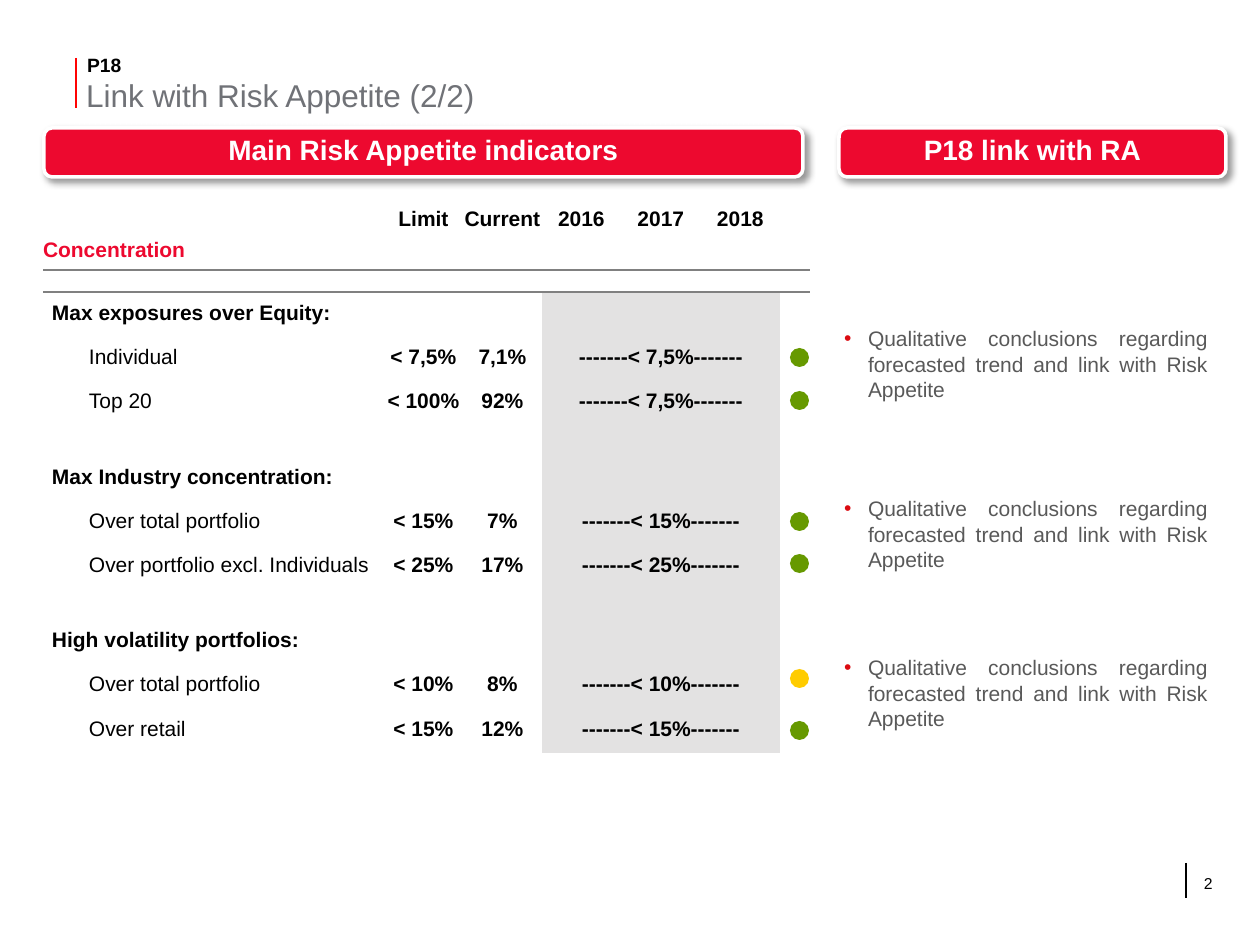
from dataclasses import dataclass

from lxml.etree import SubElement
from pptx import Presentation
from pptx.dml.color import RGBColor
from pptx.enum.shapes import MSO_CONNECTOR as Connector, MSO_SHAPE as Preset
from pptx.enum.text import MSO_ANCHOR as Anchor, PP_ALIGN as Align
from pptx.oxml import parse_xml
from pptx.oxml.ns import nsdecls, qn
from pptx.util import Emu, Pt

PX_PER_INCH = 126


@dataclass(frozen=True)
class Theme:
    font: str = "Arial"
    black: str = "000000"
    white: str = "FFFFFF"
    red: str = "ED092F"
    bar: str = "FF0303"
    title: str = "707277"
    rule: str = "808080"
    band: str = "E3E2E2"
    body: str = "595959"
    bullet: str = "DB0B11"
    green: str = "669900"
    yellow: str = "FFCC00"
    page_size: int = 9
    tag_size: int = 11
    table_size: int = 12
    banner_size: int = 16
    title_size: int = 18


@dataclass(frozen=True)
class Box:
    left: int
    top: int
    width: int
    height: int


@dataclass(frozen=True)
class Indicator:
    label: str
    limit: str
    current: str
    forecast: str
    dot_top: int
    dot_colour: str


@dataclass(frozen=True)
class Group:
    heading: str
    conclusion_top: int
    indicators: tuple[Indicator, ...]


THEME = Theme()
CONCLUSION = "Qualitative conclusions regarding forecasted trend and link with Risk Appetite"
BANNERS = (
    ("Main Risk Appetite indicators", Box(44, 128, 759, 49)),
    ("P18 link with RA", Box(839, 128, 387, 49)),
)
HEADERS = ("Limit", "Current", "2016", "2017", "2018")
GROUPS = (
    Group("Max exposures over Equity:", 320, (
        Indicator("Individual", "< 7,5%", "7,1%", "< 7,5%", 348, THEME.green),
        Indicator("Top 20", "< 100%", "92%", "< 7,5%", 391, THEME.green))),
    Group("Max Industry concentration:", 490, (
        Indicator("Over total portfolio", "< 15%", "7%", "< 15%", 512, THEME.green),
        Indicator("Over portfolio excl. Individuals", "< 25%", "17%", "< 25%", 554, THEME.green))),
    Group("High volatility portfolios:", 649, (
        Indicator("Over total portfolio", "< 10%", "8%", "< 10%", 669, THEME.yellow),
        Indicator("Over retail", "< 15%", "12%", "< 15%", 721, THEME.green))),
)

# Table grid: label, value and forecast columns; two header rows, a gap, then the groups
COLUMNS = (9, 322, 10, 79, 79, 79, 80, 79, 30)
GROUP_ROWS = (44, 44, 45)
ROWS = (23, 38, 22) + (GROUP_ROWS + (31,)) * 2 + GROUP_ROWS
LABEL_COL, LIMIT_COL, CURRENT_COL, FORECAST_COL, FORECAST_END = 1, 3, 4, 5, 7
FIRST_GROUP_ROW = 3


def px(length: int) -> Emu:
    return Emu(round(length * 914400 / PX_PER_INCH))


def place(box: Box) -> tuple[Emu, ...]:
    return px(box.left), px(box.top), px(box.width), px(box.height)


def colour(code: str) -> RGBColor:
    return RGBColor.from_string(code)


def write(paragraph, text: str, size: int, code: str, bold: bool = False) -> None:
    run = paragraph.add_run()
    run.text = text
    run.font.name = THEME.font
    run.font.size = Pt(size)
    run.font.bold = bold
    run.font.color.rgb = colour(code)


def set_margins(owner, left: int, top: int, right: int, bottom: int) -> None:
    owner.margin_left, owner.margin_top = px(left), px(top)
    owner.margin_right, owner.margin_bottom = px(right), px(bottom)


def add_text(slide, box: Box, margins: tuple[int, ...]):
    frame = slide.shapes.add_textbox(*place(box)).text_frame
    frame.word_wrap = True
    set_margins(frame, *margins)
    return frame.paragraphs[0]


def add_bar(slide, x: int, top: int, bottom: int, code: str, width: float) -> None:
    bar = slide.shapes.add_connector(Connector.STRAIGHT, px(x), px(top), px(x), px(bottom))
    bar.line.color.rgb = colour(code)
    bar.line.width = Pt(width)
    SubElement(bar._element.spPr, qn("a:effectLst"))


def add_banner(slide, text: str, box: Box) -> None:
    banner = slide.shapes.add_shape(Preset.ROUNDED_RECTANGLE, *place(box))
    banner.fill.solid()
    banner.fill.fore_color.rgb = colour(THEME.red)
    banner.line.color.rgb = colour(THEME.white)
    banner.line.width = Pt(2)
    banner.shadow.inherit = False
    banner._element.spPr.find(qn("a:effectLst")).append(parse_xml(
        f'<a:outerShdw {nsdecls("a")} blurRad="50800" dist="38100" dir="2700000" algn="tl" '
        f'rotWithShape="0"><a:srgbClr val="{THEME.black}"><a:alpha val="40000"/>'
        '</a:srgbClr></a:outerShdw>'))
    frame = banner.text_frame
    frame.word_wrap = True
    frame.vertical_anchor = Anchor.MIDDLE
    set_margins(frame, 5, 6, 5, 6)
    paragraph = frame.paragraphs[0]
    paragraph.alignment = Align.CENTER
    paragraph.line_spacing = Pt(16)
    write(paragraph, text, THEME.banner_size, THEME.white, True)


def add_dot(slide, top: int, code: str) -> None:
    dot = slide.shapes.add_shape(Preset.OVAL, *place(Box(790, top, 19, 19)))
    dot.fill.solid()
    dot.fill.fore_color.rgb = colour(code)
    dot.line.fill.background()
    dot.shadow.inherit = False


def add_conclusion(slide, top: int) -> None:
    paragraph = add_text(slide, Box(839, top, 382, 105), (5, 6, 13, 6))
    paragraph.alignment = Align.JUSTIFY
    paragraph.space_before = Pt(6)
    props = paragraph._p.get_or_add_pPr()
    props.set("marL", str(px(24)))
    props.set("indent", str(-px(24)))
    SubElement(SubElement(props, qn("a:buClr")), qn("a:srgbClr"), val=THEME.bullet)
    SubElement(props, qn("a:buFont"), typeface=THEME.font)
    SubElement(props, qn("a:buChar"), char="•")
    write(paragraph, CONCLUSION, THEME.table_size, THEME.body)


def fill_cell(cell, text: str, code: str = THEME.black, bold: bool = True,
              align: Align = Align.LEFT, indent: int = 0) -> None:
    paragraph = cell.text_frame.paragraphs[0]
    paragraph.alignment = align
    paragraph.line_spacing = 0.9
    if indent:
        props = paragraph._p.get_or_add_pPr()
        props.set("lvl", "1")
        props.set("marL", str(px(indent)))
        props.set("indent", "0")
    write(paragraph, text, THEME.table_size, code, bold)


def rule_cell(cell, side: str) -> None:
    cell._tc.get_or_add_tcPr().insert(0, parse_xml(
        f'<a:{side} {nsdecls("a")} w="19050"><a:solidFill><a:srgbClr val="{THEME.rule}"/>'
        f'</a:solidFill></a:{side}>'))


def add_indicator_table(slide) -> None:
    box = Box(43, 209, sum(COLUMNS), sum(ROWS))
    table = slide.shapes.add_table(len(ROWS), len(COLUMNS), *place(box)).table
    table.first_row = table.horz_banding = False
    # "No Style, No Grid"
    table._tbl.tblPr.find(qn("a:tableStyleId")).text = "{2D5ABB26-0587-4C30-8999-92F81FD0307C}"
    for column, width in zip(table.columns, COLUMNS):
        column.width = px(width)
    for row, height in zip(table.rows, ROWS):
        row.height = px(height)

    # Fills, margins and the rule under the section name
    for r in range(len(ROWS)):
        for c in range(len(COLUMNS)):
            cell = table.cell(r, c)
            set_margins(cell, 0, 0, 0, 0)
            cell.vertical_anchor = Anchor.MIDDLE
            if r >= FIRST_GROUP_ROW and FORECAST_COL <= c <= FORECAST_END:
                cell.fill.solid()
                cell.fill.fore_color.rgb = colour(THEME.band)
            else:
                cell.fill.background()
            if r in (1, 2):
                rule_cell(cell, "lnB" if r == 1 else "lnT")
            # Small type keeps empty cells from stretching their row
            SubElement(cell.text_frame.paragraphs[0]._p, qn("a:endParaRPr"), sz="800")

    # Headers
    for c, header in enumerate(HEADERS, LIMIT_COL):
        fill_cell(table.cell(0, c), header, align=Align.CENTER)
    for r in (1, 2):
        table.cell(r, 0).merge(table.cell(r, 1))
    fill_cell(table.cell(1, 0), "Concentration", THEME.red)

    # Groups
    for g, group in enumerate(GROUPS):
        top = FIRST_GROUP_ROW + g * (len(GROUP_ROWS) + 1)
        fill_cell(table.cell(top, LABEL_COL), group.heading)
        for r, item in enumerate(group.indicators, top + 1):
            table.cell(r, FORECAST_COL).merge(table.cell(r, FORECAST_END))
            fill_cell(table.cell(r, LABEL_COL), item.label, bold=False, indent=37)
            for c, value in ((LIMIT_COL, item.limit), (CURRENT_COL, item.current),
                             (FORECAST_COL, f"-------{item.forecast}-------")):
                fill_cell(table.cell(r, c), value, align=Align.CENTER)


def main() -> None:
    deck = Presentation()
    deck.slide_width, deck.slide_height = px(1260), px(945)
    slide = deck.slides.add_slide(deck.slide_layouts[6])

    # Title and page number
    add_bar(slide, 76, 58, 108, THEME.bar, 1.5)
    add_bar(slide, 1186, 863, 898, THEME.black, 1)
    write(add_text(slide, Box(87, 53, 638, 28), (0, 0, 0, 0)),
          "P18", THEME.tag_size, THEME.black, True)
    write(add_text(slide, Box(86, 76, 926, 45), (0, 0, 0, 0)),
          "Link with Risk Appetite (2/2)", THEME.title_size, THEME.title)
    write(add_text(slide, Box(1191, 868, 53, 50), (13, 6, 13, 6)),
          "2", THEME.page_size, THEME.black)

    # Indicators and their conclusions
    for text, box in BANNERS:
        add_banner(slide, text, box)
    add_indicator_table(slide)
    for group in GROUPS:
        for item in group.indicators:
            add_dot(slide, item.dot_top, item.dot_colour)
        add_conclusion(slide, group.conclusion_top)

    deck.save("out.pptx")


if __name__ == "__main__":
    main()
